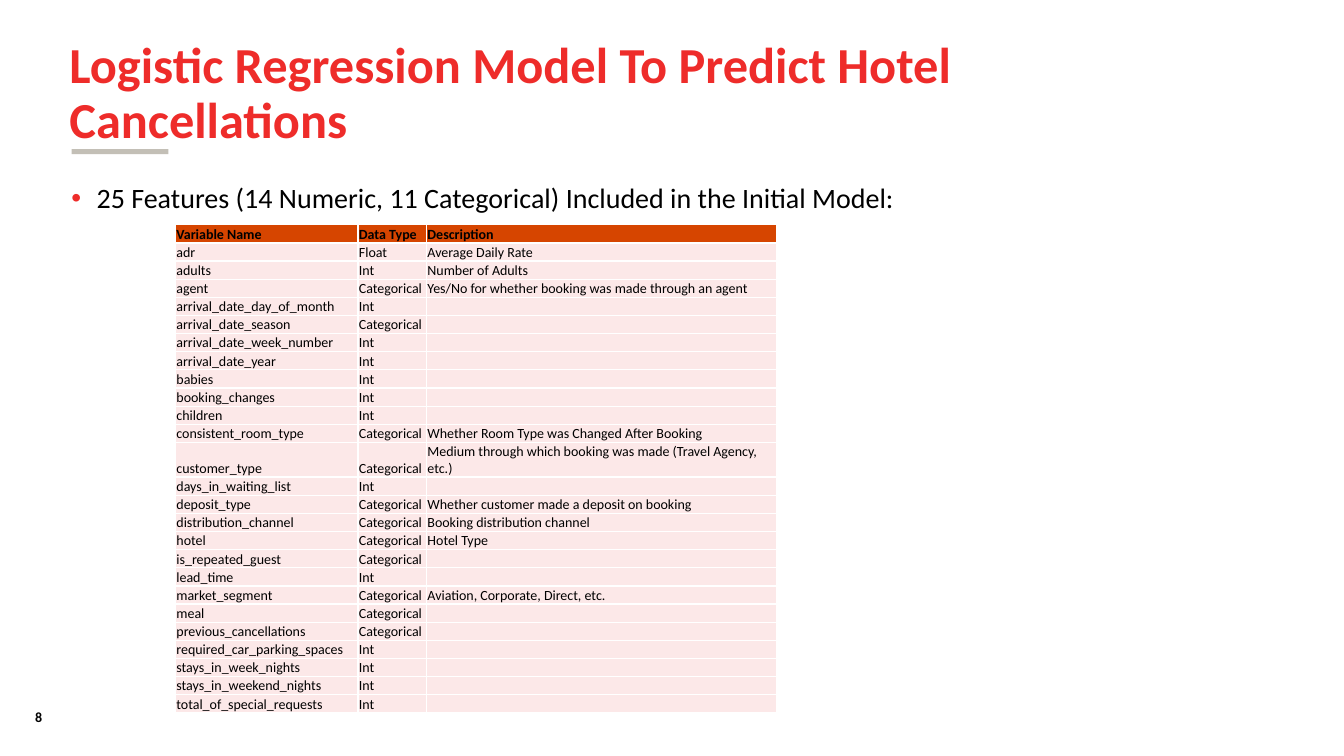
from lxml import etree
from pptx import Presentation
from pptx.dml.color import RGBColor
from pptx.enum.shapes import MSO_SHAPE
from pptx.enum.text import MSO_ANCHOR
from pptx.oxml.ns import qn
from pptx.util import Inches, Pt

RECT = MSO_SHAPE.RECTANGLE
TOP, MIDDLE, BOTTOM = MSO_ANCHOR.TOP, MSO_ANCHOR.MIDDLE, MSO_ANCHOR.BOTTOM

TITLE = "Logistic Regression Model To Predict Hotel Cancellations"
POINT = "25 Features (14 Numeric, 11 Categorical) Included in the Initial Model:"
PAGE = "8"
ROWS = [
    ("Variable Name", "Data Type", "Description"),
    ("adr", "Float", "Average Daily Rate"),
    ("adults", "Int", "Number of Adults"),
    ("agent", "Categorical", "Yes/No for whether booking was made through an agent"),
    ("arrival_date_day_of_month", "Int", ""),
    ("arrival_date_season", "Categorical", ""),
    ("arrival_date_week_number", "Int", ""),
    ("arrival_date_year", "Int", ""),
    ("babies", "Int", ""),
    ("booking_changes", "Int", ""),
    ("children", "Int", ""),
    ("consistent_room_type", "Categorical", "Whether Room Type was Changed After Booking"),
    ("customer_type", "Categorical",
     "Medium through which booking was made (Travel Agency, etc.)"),
    ("days_in_waiting_list", "Int", ""),
    ("deposit_type", "Categorical", "Whether customer made a deposit on booking"),
    ("distribution_channel", "Categorical", "Booking distribution channel"),
    ("hotel", "Categorical", "Hotel Type"),
    ("is_repeated_guest", "Categorical", ""),
    ("lead_time", "Int", ""),
    ("market_segment", "Categorical", "Aviation, Corporate, Direct, etc."),
    ("meal", "Categorical", ""),
    ("previous_cancellations", "Categorical", ""),
    ("required_car_parking_spaces", "Int", ""),
    ("stays_in_week_nights", "Int", ""),
    ("stays_in_weekend_nights", "Int", ""),
    ("total_of_special_requests", "Int", ""),
]
COLS = (1.81, 0.68, 3.47)
ROW_H = 0.18

THEME = {
    "font": "Calibri",
    "red": "EE2C2A", "ink": "000000", "rule": "C3BFB6",
    "head": "D64500", "body": "FCE8E8", "grid": "FFFFFF",
    "title": 36, "point": 20, "small": 10,
}


def rgb(name):
    return RGBColor.from_string(THEME[name])


def style(para, size, color="ink", bold=False):
    for run in para.runs:
        font = run.font
        font.name = THEME["font"]
        font.size = Pt(THEME[size])
        font.bold = bold
        font.color.rgb = rgb(color)


def add_text(slide, box, text, size, color="ink", bold=False, anchor=TOP):
    frame = slide.shapes.add_textbox(*map(Inches, box)).text_frame
    frame.word_wrap = True
    frame.vertical_anchor = anchor
    frame.text = text
    para = frame.paragraphs[0]
    style(para, size, color, bold)
    return para


def add_bullet(para):
    props = para._p.get_or_add_pPr()
    props.set("marL", str(Inches(0.25)))
    props.set("indent", str(-Inches(0.25)))
    tint = etree.SubElement(props, qn("a:buClr"))
    etree.SubElement(tint, qn("a:srgbClr"), val=THEME["red"])
    etree.SubElement(props, qn("a:buFont"), typeface="Arial")
    etree.SubElement(props, qn("a:buChar"), char="•")


def add_grid(cell):
    props = cell._tc.get_or_add_tcPr()
    for side in ("lnL", "lnR", "lnT", "lnB"):
        line = etree.SubElement(props, qn("a:" + side), w=str(Pt(1)))
        fill = etree.SubElement(line, qn("a:solidFill"))
        etree.SubElement(fill, qn("a:srgbClr"), val=THEME["grid"])


def fill_cell(cell, text, head):
    add_grid(cell)
    cell.fill.solid()
    cell.fill.fore_color.rgb = rgb("head" if head else "body")
    cell.margin_left = cell.margin_right = cell.margin_top = Inches(0.01)
    cell.margin_bottom = 0
    cell.vertical_anchor = BOTTOM
    cell.text_frame.text = text
    para = cell.text_frame.paragraphs[0]
    style(para, "small", bold=head)
    if not text:
        etree.SubElement(para._p, qn("a:endParaRPr"), sz=str(THEME["small"] * 100))


def add_features(slide):
    frame = slide.shapes.add_table(
        len(ROWS), len(COLS), Inches(1.74), Inches(2.23),
        Inches(sum(COLS)), Inches(ROW_H * len(ROWS)))
    table = frame.table
    table.horz_banding = False
    for col, width in zip(table.columns, COLS):
        col.width = Inches(width)
    for r, row in enumerate(ROWS):
        table.rows[r].height = Inches(ROW_H)
        for c, text in enumerate(row):
            fill_cell(table.cell(r, c), text, r == 0)


def main():
    deck = Presentation()
    deck.slide_width, deck.slide_height = Inches(13.33), Inches(7.5)
    slide = deck.slides.add_slide(deck.slide_layouts[6])

    add_text(slide, (0.25, 6.98, 1.14, 0.27), PAGE, "small", bold=True)

    rule = slide.shapes.add_shape(RECT, *map(Inches, (0.71, 1.48, 0.96, 0.05)))
    rule.shadow.inherit = False
    rule.fill.solid()
    rule.fill.fore_color.rgb = rgb("rule")
    rule.line.fill.background()

    title = add_text(slide, (0.59, 0.4, 11.24, 1.08), TITLE, "title", "red", True, MIDDLE)
    title.line_spacing = 0.9

    point = add_text(slide, (0.61, 1.78, 11.22, 4.76), POINT, "point")
    point.line_spacing = 0.9
    point.space_before = Pt(10)
    add_bullet(point)

    add_features(slide)
    deck.save("out.pptx")


if __name__ == "__main__":
    main()
